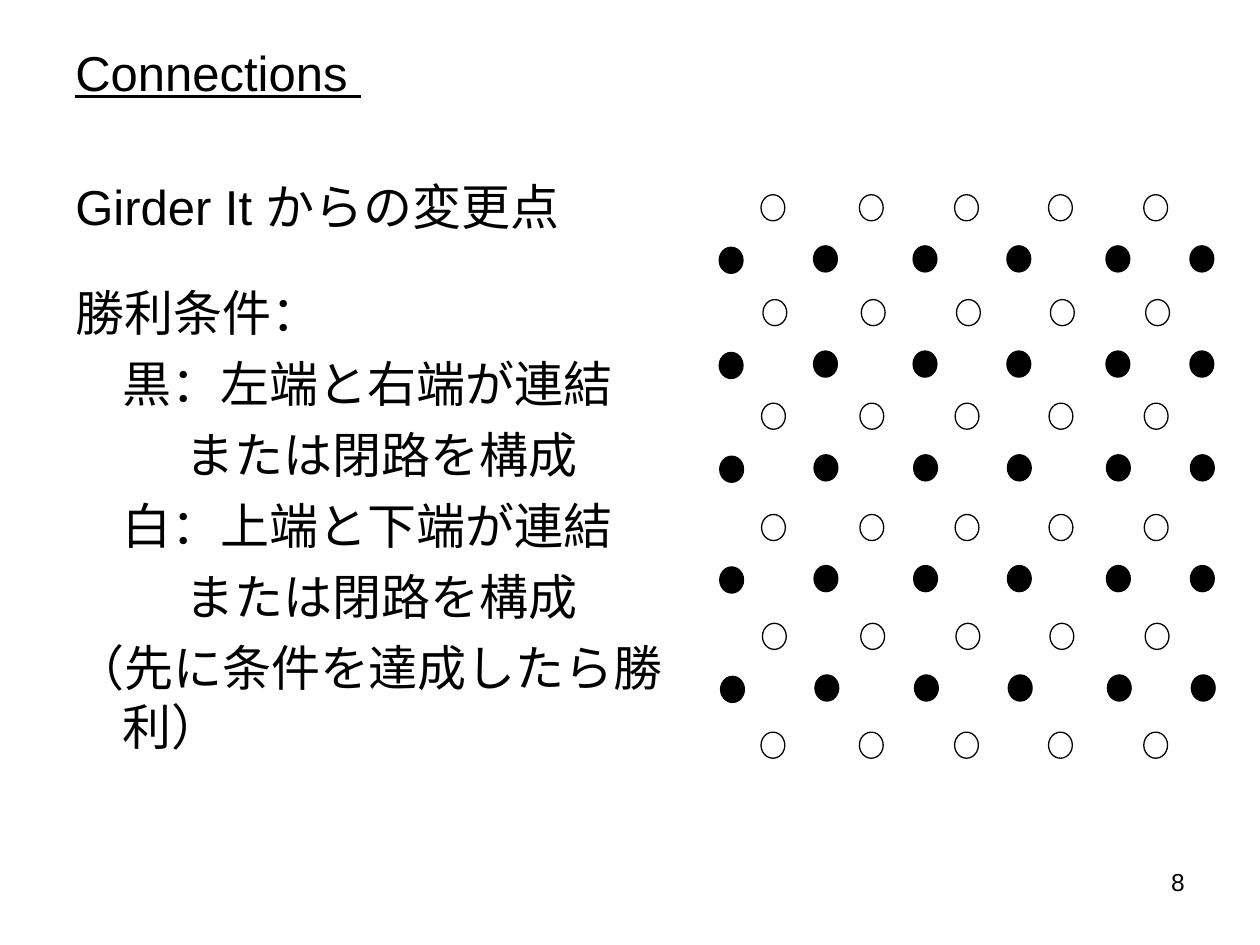
"""Build the slide on the rule changes of a dot-connecting game."""
from lxml.etree import SubElement
from pptx import Presentation
from pptx.dml.color import RGBColor
from pptx.enum.shapes import MSO_SHAPE as Shape
from pptx.enum.text import MSO_ANCHOR as Anchor, PP_ALIGN as Align
from pptx.oxml.ns import qn
from pptx.util import Pt

BLACK = RGBColor(0, 0, 0)
WHITE = RGBColor(255, 255, 255)
FONT = "Arial"
INCH = 72
HANGING = 27
DOT_WIDTH, DOT_HEIGHT = 13.6, 14.9
WHITE_COLUMNS = (434.9, 491.1, 545.5, 599.2, 653.6)
BLACK_COLUMNS = (411, 464.9, 521.8, 575.4, 632, 680)
WHITE_ROWS = ((111.3, 0), (171.2, 1.1), (230.4, 0.3),
              (294, 0.3), (356.2, 0.8), (418.4, 0))
BLACK_ROWS = ((140.5, 0), (200.6, 0), (259.9, 0.3), (323.2, 0.3), (385.7, 0.8))
FIRST_BLACK_DROP = 0.8
RULES = (
    "Girder It からの変更点",
    "勝利条件：",
    "\t黒：左端と右端が連結",
    "\t\tまたは閉路を構成",
    "\t白：上端と下端が連結",
    "\t\tまたは閉路を構成",
    "（先に条件を達成したら勝利）",
)


def add_box(page, left, top, width, height, anchor=Anchor.TOP):
    """Add a wrapping text box and return its text frame."""
    frame = page.shapes.add_textbox(Pt(left), Pt(top), Pt(width), Pt(height)).text_frame
    frame.word_wrap = True
    frame.vertical_anchor = anchor
    return frame


def add_tabs(para):
    """Give a paragraph a hanging indent and a tab stop at each inch."""
    properties = para._p.get_or_add_pPr()
    properties.set("marL", str(Pt(HANGING)))
    properties.set("indent", str(-Pt(HANGING)))
    tabs = SubElement(properties, qn("a:tabLst"))
    for inch in range(8):
        SubElement(tabs, qn("a:tab"), pos=str(Pt(inch * INCH)), algn="l")


def write(para, text, size=28, underline=False, align=Align.LEFT, spacing=1.0, before=0):
    """Write formatted text into a paragraph."""
    para.alignment = align
    para.line_spacing = spacing
    para.space_before = Pt(before)
    span = para.add_run()
    span.text = text
    span.font.name = FONT
    span.font.size = Pt(size)
    span.font.underline = underline
    span.font.color.rgb = BLACK


def add_rules(page):
    """Write the list of rules."""
    frame = add_box(page, 36, 77, 375, 425.5)
    for number, text in enumerate(RULES):
        para = frame.add_paragraph() if number else frame.paragraphs[0]
        add_tabs(para)
        write(para, text, spacing=1.6 if number < 2 else 1.0, before=7 if number else 0)


def add_dot(board, left, top, color):
    """Add one outlined dot to the board."""
    dot = board.shapes.add_shape(
        Shape.OVAL, Pt(left), Pt(top), Pt(DOT_WIDTH), Pt(DOT_HEIGHT))
    dot.shadow.inherit = False
    dot.fill.solid()
    dot.fill.fore_color.rgb = color
    dot.line.color.rgb = BLACK
    dot.line.width = Pt(0.75)


def add_dots(board, rows, columns, color, first_drop=0):
    """Add rows of dots, the first of each lowered by first_drop."""
    for top, shift in rows:
        for number, left in enumerate(columns):
            add_dot(board, left + shift, top if number else top + first_drop, color)


def main():
    """Build and save the deck."""
    deck = Presentation()
    deck.slide_width, deck.slide_height = Pt(720), Pt(540)
    page = deck.slides.add_slide(deck.slide_layouts[6])
    title = add_box(page, 36, 21.6, 648, 38.9, Anchor.MIDDLE)
    write(title.paragraphs[0], "Connections ", underline=True)
    add_rules(page)
    board = page.shapes.add_group_shape()
    add_dots(board, WHITE_ROWS, WHITE_COLUMNS, WHITE)
    add_dots(board, BLACK_ROWS, BLACK_COLUMNS, BLACK, FIRST_BLACK_DROP)
    number = add_box(page, 516, 492, 168, 37.5)
    write(number.paragraphs[0], "8", size=14, align=Align.RIGHT)
    deck.save("out.pptx")


if __name__ == "__main__":
    main()
